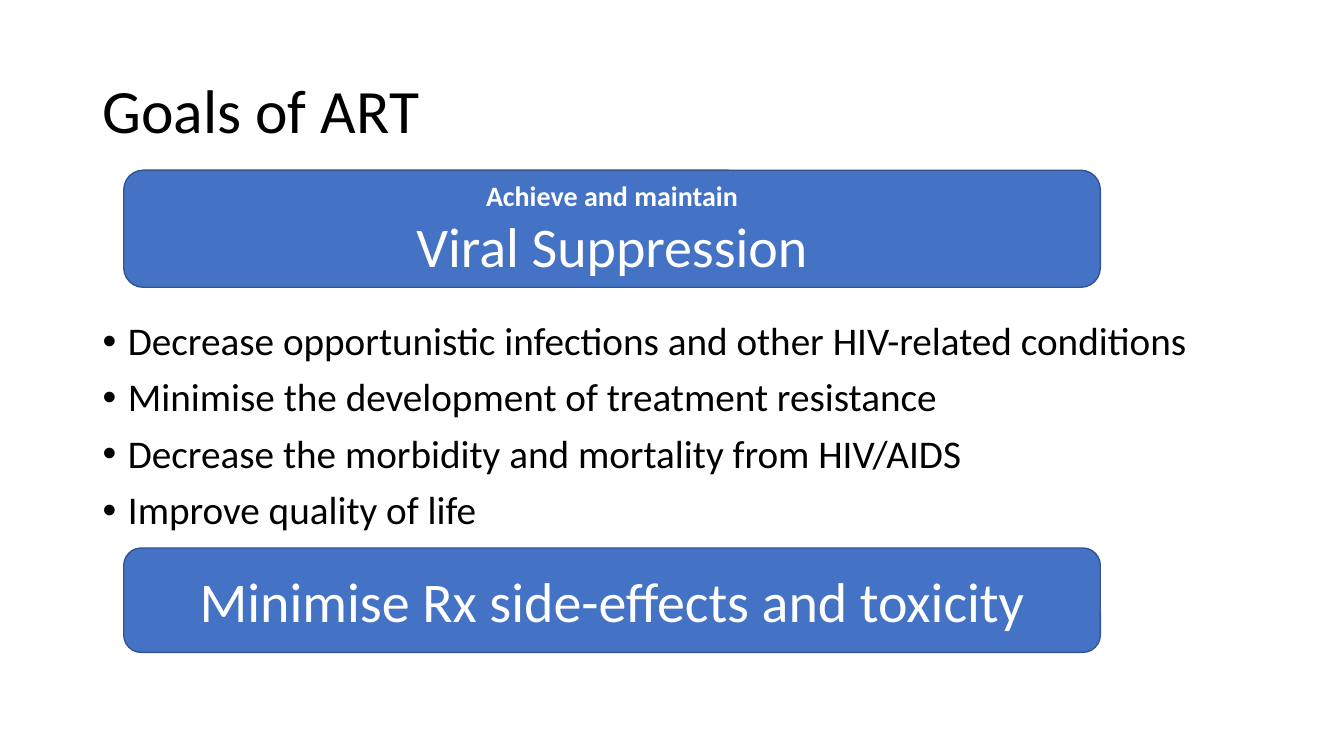
from pptx import Presentation
from pptx.dml.color import RGBColor
from pptx.enum import shapes, text
from pptx.util import Cm, Pt

TITLE = "Goals of ART"
GOALS = [
    "Decrease opportunistic infections and other HIV-related conditions",
    "Minimise the development of treatment resistance",
    "Decrease the morbidity and mortality from HIV/AIDS",
    "Improve quality of life",
]
BANNERS = [
    (4.29, 2.95, [("Achieve and maintain", 20, True), ("Viral Suppression", 40, False)]),
    (13.81, 2.63, [("Minimise Rx side-effects and toxicity", 40, False)]),
]

BLACK = RGBColor(0x00, 0x00, 0x00)
WHITE = RGBColor(0xFF, 0xFF, 0xFF)
BLUE = RGBColor(0x44, 0x72, 0xC4)
DARK_BLUE = RGBColor(0x32, 0x54, 0x91)

MARGIN, CONTENT_W = 2.33, 29.21
BANNER_LEFT, BANNER_W = 3.12, 24.61
BULLET_INDENT = Cm(0.64)


def place(sp, left, top, width, height):
    sp.left, sp.top, sp.width, sp.height = Cm(left), Cm(top), Cm(width), Cm(height)


def style(p, size, color, align, bold=False):
    p.alignment = align
    p.font.name = "Calibri"
    p.font.size = Pt(size)
    p.font.bold = bold
    p.font.color.rgb = color


def fill_text(tf, lines):
    tf.text = "\n".join(lines)
    tf.word_wrap = True
    return tf.paragraphs


def add_banner(s, top, height, lines):
    sp = s.shapes.add_shape(
        shapes.MSO_SHAPE.ROUNDED_RECTANGLE,
        Cm(BANNER_LEFT), Cm(top), Cm(BANNER_W), Cm(height))
    sp.shadow.inherit = False
    sp.fill.solid()
    sp.fill.fore_color.rgb = BLUE
    sp.line.color.rgb = DARK_BLUE
    sp.line.width = Pt(1)
    tf = sp.text_frame
    tf.vertical_anchor = text.MSO_ANCHOR.MIDDLE
    paragraphs = fill_text(tf, [line for line, _, _ in lines])
    for p, (_, size, bold) in zip(paragraphs, lines):
        style(p, size, WHITE, text.PP_ALIGN.CENTER, bold)


def main():
    prs = Presentation()
    prs.slide_width, prs.slide_height = Cm(33.87), Cm(19.05)
    s = prs.slides.add_slide(prs.slide_layouts[1])

    title, body = s.placeholders
    place(title, MARGIN, 1.01, CONTENT_W, 3.68)
    title.text_frame.vertical_anchor = text.MSO_ANCHOR.MIDDLE
    for p in fill_text(title.text_frame, [TITLE]):
        style(p, 44, BLACK, text.PP_ALIGN.LEFT)
        p.line_spacing = 0.9

    place(body, MARGIN, 7.98, CONTENT_W, 9.2)
    for p in fill_text(body.text_frame, GOALS):
        style(p, 28, BLACK, text.PP_ALIGN.LEFT)
        p.line_spacing = 0.9
        p.space_before = Pt(10)
        pPr = p._p.get_or_add_pPr()
        pPr.set("marL", str(BULLET_INDENT))
        pPr.set("indent", str(-BULLET_INDENT))

    for banner in BANNERS:
        add_banner(s, *banner)

    prs.save("out.pptx")


if __name__ == "__main__":
    main()
